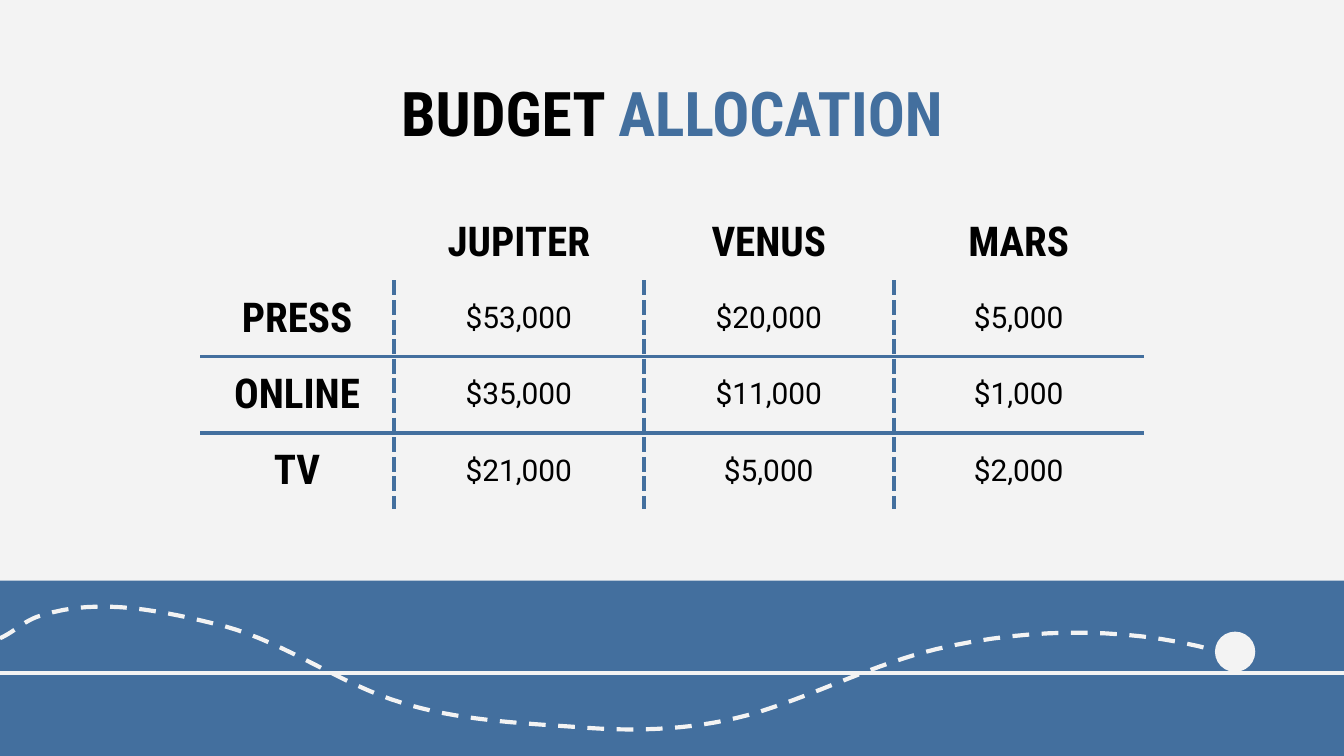
"""Build the budget allocation slide."""
from lxml.etree import SubElement as Sub
from pptx import Presentation
from pptx.dml.color import RGBColor as RGB
from pptx.enum.dml import MSO_LINE as Dash
from pptx.enum.shapes import MSO_CONNECTOR as Link, MSO_SHAPE as Shape
from pptx.enum.text import MSO_ANCHOR as Anchor, PP_ALIGN as Align
from pptx.oxml.ns import qn
from pptx.util import Inches, Pt

HUES = {"pale": "F3F3F3", "blue": "436F9E", "ink": "000000"}
HEAD, BODY = "Roboto Condensed", "Roboto"


def style(font, name, size, bold):
    font.name, font.size, font.bold = name, Pt(size), bold
    font.color.rgb = RGB.from_string(HUES["ink"])


def border(cell, side, shown, dash):
    line = Sub(cell._tc.get_or_add_tcPr(), qn("a:ln" + side), w=str(Pt(2.25)))
    if shown:
        fill = Sub(line, qn("a:solidFill"))
        Sub(fill, qn("a:srgbClr"), val=HUES["blue"])
        Sub(line, qn("a:prstDash"), val=dash)
    else:
        Sub(line, qn("a:noFill"))


deck = Presentation()
deck.slide_width, deck.slide_height = Inches(10), Inches(10 * 9 / 16)
slide = deck.slides.add_slide(deck.slide_layouts[6])
pale = RGB.from_string(HUES["pale"])
blue = RGB.from_string(HUES["blue"])
slide.background.fill.solid()
slide.background.fill.fore_color.rgb = pale
shapes = slide.shapes

for kind, box, hue in [
    (Shape.RECTANGLE, (-0.02, 4.32, 10.04, 1.34), blue),
    (Shape.OVAL, (9.04, 4.7, 0.3, 0.3), pale),
]:
    form = shapes.add_shape(kind, *map(Inches, box))
    form.shadow.inherit = False
    form.fill.solid()
    form.fill.fore_color.rgb = hue
    form.line.fill.background()

track = shapes.add_connector(
    Link.STRAIGHT, Inches(-0.02), Inches(5.01), Inches(10.02), Inches(5.01))
Sub(track._element.spPr, qn("a:effectLst"))

start = (0, 4.75)
curves = [
    ((0.11, 4.7), (0.19, 4.61), (0.31, 4.58)),
    ((0.74, 4.44), (1.23, 4.55), (1.67, 4.66)),
    ((2.14, 4.79), (2.53, 5.09), (2.99, 5.23)),
    ((3.41, 5.36), (3.86, 5.38), (4.29, 5.41)),
    ((4.74, 5.45), (5.21, 5.43), (5.64, 5.3)),
    ((6.09, 5.16), (6.51, 4.94), (6.97, 4.83)),
    ((7.69, 4.66), (8.48, 4.66), (9.18, 4.88)),
]
steps = 16
points = []
last = start
for one, two, end in curves:
    for step in range(1, steps + 1):
        t = step / steps
        u = 1 - t
        points.append([
            Inches(u**3 * a + 3 * u * u * t * b + 3 * u * t * t * c + t**3 * d)
            for a, b, c, d in zip(last, one, two, end)])
    last = end
pen = shapes.build_freeform(*map(Inches, start))
pen.add_line_segments(points, close=False)
wave = pen.convert_to_shape()
wave.shadow.inherit = False
wave.fill.background()
wave.line.dash_style = Dash.DASH
for item in (track, wave):
    item.line.color.rgb = pale
    item.line.width = Pt(2.25)

title = shapes.add_textbox(
    Inches(0.78), Inches(0.46), Inches(8.44), Inches(0.63)).text_frame
title.word_wrap = True
title.margin_left = title.margin_right = Inches(0.1)
title.margin_top = title.margin_bottom = Inches(0.1)
para = title.paragraphs[0]
para.alignment = Align.CENTER
for text, hue in [("BUDGET ", "ink"), ("ALLOCATION", "blue")]:
    run = para.add_run()
    run.text = text
    style(run.font, HEAD, 33, True)
    run.font.color.rgb = RGB.from_string(HUES[hue])

rows = [
    ("", "JUPITER", "VENUS", "MARS"),
    ("PRESS", "$53,000", "$20,000", "$5,000"),
    ("ONLINE", "$35,000", "$11,000", "$1,000"),
    ("TV", "$21,000", "$5,000", "$2,000"),
]
tall = Inches(2.26)
table = shapes.add_table(
    4, 4, Inches(1.49), Inches(1.52), Inches(7.02), tall).table
table.first_row = table.horz_banding = False
for col, width in zip(table.columns, (1.44, 1.86, 1.86, 1.86)):
    col.width = Inches(width)
for i, row in enumerate(rows):
    table.rows[i].height = tall // len(rows)
    for j, text in enumerate(row):
        cell = table.cell(i, j)
        cell.margin_left = cell.margin_right = Inches(0.1)
        cell.margin_top = cell.margin_bottom = Inches(0.1)
        cell.vertical_anchor = Anchor.MIDDLE if j else Anchor.TOP
        border(cell, "L", i > 0 and j > 0, "dash")
        border(cell, "R", i > 0 and j < 3, "dash")
        border(cell, "T", i > 1, "solid")
        border(cell, "B", 0 < i < 3, "solid")
        if i and j:
            cell.fill.solid()
            cell.fill.fore_color.rgb = pale
        else:
            cell.fill.background()
        cell.text = text
        para = cell.text_frame.paragraphs[0]
        para.alignment = Align.CENTER
        if i and j:
            style(para.font, BODY, 16, False)
        else:
            style(para.font, HEAD, 22, True)

deck.save("out.pptx")
